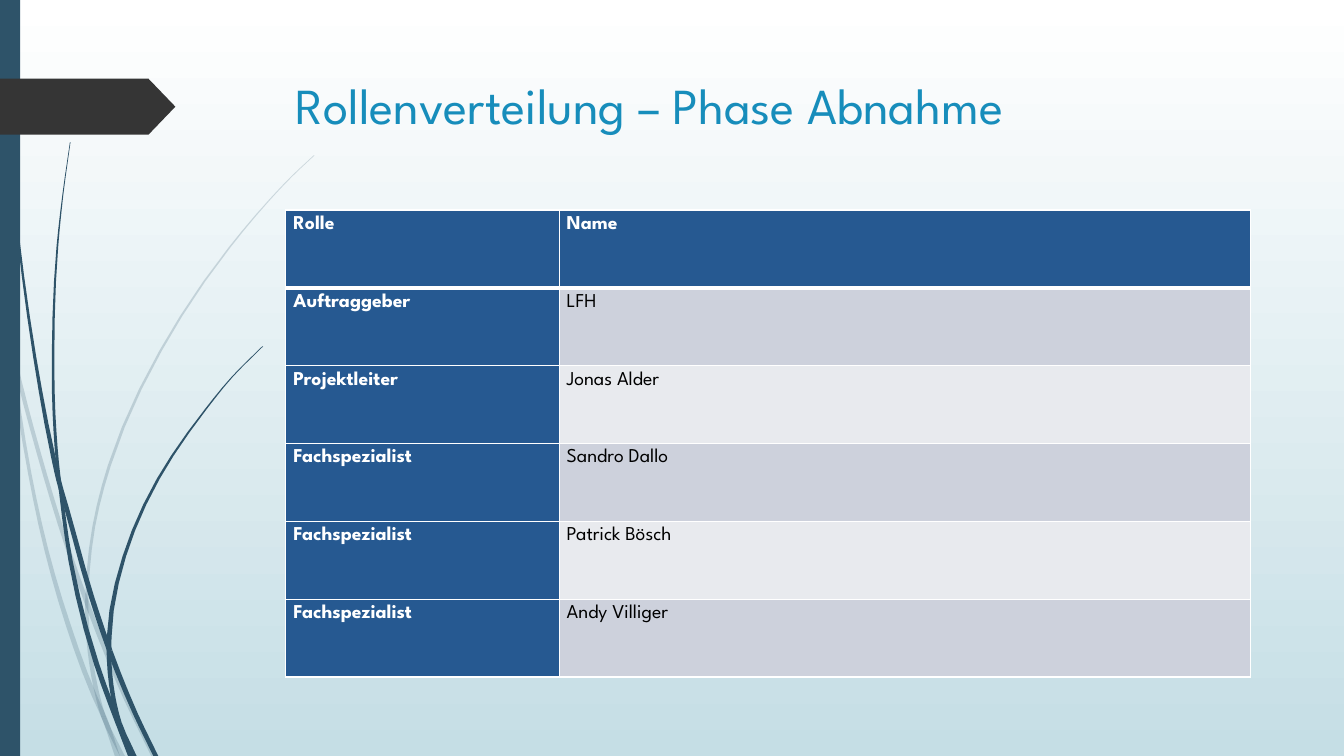
from pptx import Presentation
from pptx.dml.color import RGBColor
from pptx.enum.shapes import MSO_SHAPE
from pptx.oxml import parse_xml
from pptx.oxml.ns import nsdecls, qn
from pptx.util import Pt
from lxml.etree import SubElement

theme = {
    "font": "League Spartan",
    "title": "178DBB", "head": "265991", "odd": "CDD1DC", "even": "E8EAEE",
    "stem": "2E5369", "tag": "353535", "white": "FFFFFF", "black": "000000",
    "sky": ("FFFFFF", "C5DEE5"),
    "big": 36, "small": 14, "line": 17,
}


def put(frame, text, size, color, bold=False, line=None, after=0):
    frame.word_wrap = True
    para = frame.paragraphs[0]
    para.space_after = Pt(after)
    if line:
        para.line_spacing = Pt(line)
    run = para.add_run()
    run.text = text
    font = run.font
    font.name, font.size, font.bold = theme["font"], Pt(size), bold
    font.color.rgb = RGBColor.from_string(color)


def paint(shape, color, alpha=100):
    shape.shadow.inherit = False
    shape.line.fill.background()
    shape.fill.solid()
    shape.fill.fore_color.rgb = RGBColor.from_string(color)
    if alpha < 100:
        tone = shape.element.find(".//" + qn("a:srgbClr"))
        SubElement(tone, qn("a:alpha")).set("val", str(alpha * 1000))


deck = Presentation()
deck.slide_width, deck.slide_height = Pt(960), Pt(540)
slide = deck.slides.add_slide(deck.slide_layouts[6])
shapes = slide.shapes

# Background
sky = slide.background.fill
sky.gradient()
sky.gradient_angle = 270
for stop, color in zip(sky.gradient_stops, theme["sky"]):
    stop.color.rgb = RGBColor.from_string(color)

# Grass blades: opacity, heights of the cuts, knots of (y, left edge, width)
blades = [
    (20, (248, 431),
     [(203, 0, 0), (215, 0, 3), (232, 3.6, 3), (248, 7, 3), (271, 12.2, 3),
      (323, 26, 3), (375, 41.4, 3.2), (431, 60.5, 3.5), (499, 88.2, 3.6),
      (540, 108, 3.6)]),
    (20, (513,),
     [(252, 8, 0), (271, 9.7, 2.5), (338, 20, 2.4), (393, 31.7, 2.9),
      (446, 46.8, 3.6), (497, 65.5, 3.8), (513, 72.7, 3.8), (540, 82, 3.6)]),
    (20, (425, 439, 512),
     [(111, 224, 0.7), (126, 208, 0.8), (142.5, 192.3, 0.9),
      (176.5, 163.5, 1.3), (250.5, 113.8, 1.8), (332.5, 77, 2.2),
      (376, 66, 2), (425, 61, 2.2), (439, 60.8, 2.5), (465, 62.6, 3),
      (492, 67, 3.2), (512, 72.3, 3.4), (540, 85.6, 3.6)]),
    (100, (343.5, 464.5),
     [(0, 2.2, 0.7), (79, 5, 0.9), (168, 12.2, 1.4), (255.5, 23.8, 2.2),
      (326, 36.4, 3.2), (343.5, 40.3, 3.4), (363.5, 46, 3.4),
      (426, 63.4, 3.8), (464.5, 76.3, 4), (510, 95, 3.6), (540, 109.5, 3.6)]),
    (100, (332, 355, 518),
     [(101.5, 50, 0.4), (139, 44.6, 0.7), (176.5, 40.4, 1.2),
      (251, 37.1, 1.8), (295, 37.6, 2), (332, 40.1, 2.2), (355, 42.6, 2.5),
      (401, 49, 3), (474, 67, 3.8), (518, 83, 4), (540, 91.4, 4)]),
    (100, (455, 472, 516),
     [(247.5, 187.2, 0.7), (269, 165.6, 0.9), (292.5, 146.2, 1.3),
      (342, 112, 2.1), (397.5, 87.5, 2.5), (455, 76.3, 3.4),
      (472, 76.4, 3.2), (497.5, 79.2, 3.2), (516, 83.5, 3.4),
      (540, 94, 3.6)]),
]
steps = 3
for alpha, cuts, knots in blades:
    # Slope at each knot, then a smooth (Hermite) curve between knots
    chords = [((q[1] - p[1]) / (q[0] - p[0]), q[0] - p[0])
              for p, q in zip(knots, knots[1:])]
    chords = [chords[0], *chords, chords[-1]]
    slopes = [(a * n + b * m) / (m + n)
              for (a, m), (b, n) in zip(chords, chords[1:])]
    curve = []
    for (y, x, w), (v, u, z), a, b in zip(knots, knots[1:], slopes, slopes[1:]):
        for t in (i / steps for i in range(steps)):
            s, h = 1 - t, v - y
            curve.append((
                y + t * h,
                s * s * (1 + 2 * t) * x + t * t * (3 - 2 * t) * u
                + h * s * t * (s * a - t * b),
                s * w + t * z))
    curve.append(knots[-1])
    # One outline for each part between two cuts
    marks = [knots[0][0], *cuts, knots[-1][0]]
    for top, low in zip(marks, marks[1:]):
        part = [p for p in curve if top <= p[0] <= low]
        edge = [(Pt(x), Pt(y)) for y, x, w in part]
        edge += [(Pt(x + w), Pt(y)) for y, x, w in reversed(part)]
        pen = shapes.build_freeform(*edge[0], scale=1.0)
        pen.add_line_segments(edge[1:], close=True)
        paint(pen.convert_to_shape(), theme["stem"], alpha)

# Side bar and tag
bar = shapes.add_shape(MSO_SHAPE.RECTANGLE, 0, 0, Pt(14.4), Pt(540))
paint(bar, theme["stem"])
tag = shapes.add_shape(MSO_SHAPE.PENTAGON, 0, Pt(56.2), Pt(125.3), Pt(40))
tag.adjustments[0] = 0.48
paint(tag, theme["tag"])

# Title
title = shapes.add_textbox(Pt(204.2), Pt(49.3), Pt(702), Pt(100.8))
put(title.text_frame, "Rollenverteilung – Phase Abnahme", theme["big"], theme["title"])

# Table of roles
roles = [
    ("Rolle", "Name"),
    ("Auftraggeber", "LFH"),
    ("Projektleiter", "Jonas Alder"),
    ("Fachspezialist", "Sandro Dallo"),
    ("Fachspezialist", "Patrick Bösch"),
    ("Fachspezialist", "Andy Villiger"),
]
grid = shapes.add_table(len(roles), 2, Pt(204.2), Pt(150), Pt(689.2), Pt(333.6))
table = grid.table
for col, width in zip(table.columns, (195.2, 494)):
    col.width = Pt(width)
for r, names in enumerate(roles):
    table.rows[r].height = Pt(55.6)
    for c, name in enumerate(names):
        cell = table.cell(r, c)
        cell.margin_left = cell.margin_right = Pt(5.4)
        cell.margin_top = cell.margin_bottom = 0
        strong = r == 0 or c == 0
        tone = "head" if strong else "odd" if r % 2 else "even"
        cell.fill.solid()
        cell.fill.fore_color.rgb = RGBColor.from_string(theme[tone])
        put(cell.text_frame, name, theme["small"],
            theme["white" if strong else "black"], bold=strong,
            line=theme["line"], after=6)

# Cell borders, thicker under the header
for i, tc in enumerate(grid.element.iter(qn("a:tc"))):
    row = i // 2
    sides = {"L": 1, "R": 1, "T": 3 if row == 1 else 1, "B": 3 if row == 0 else 1}
    for n, (side, width) in enumerate(sides.items()):
        tc.get_or_add_tcPr().insert(n, parse_xml(
            f'<a:ln{side} {nsdecls("a")} w="{Pt(width)}"><a:solidFill>'
            f'<a:srgbClr val="{theme["white"]}"/></a:solidFill></a:ln{side}>'))

deck.save("out.pptx")
